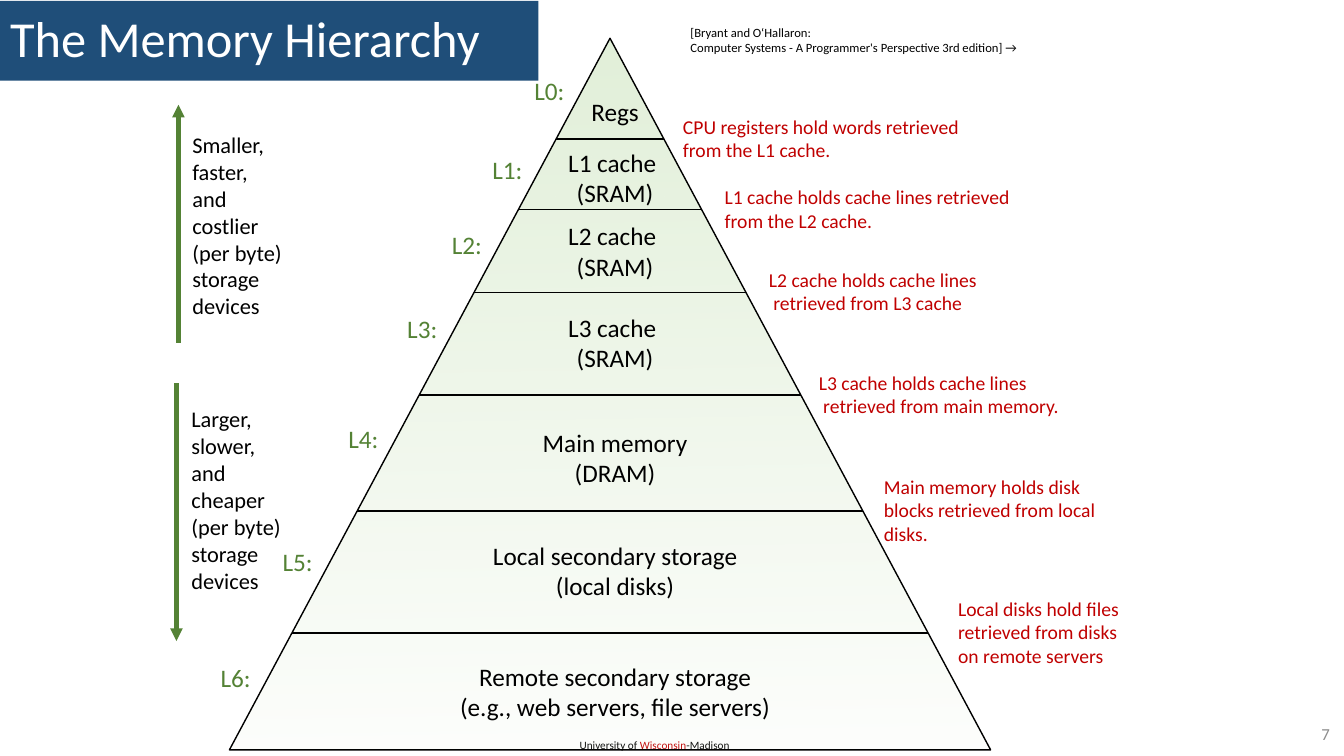
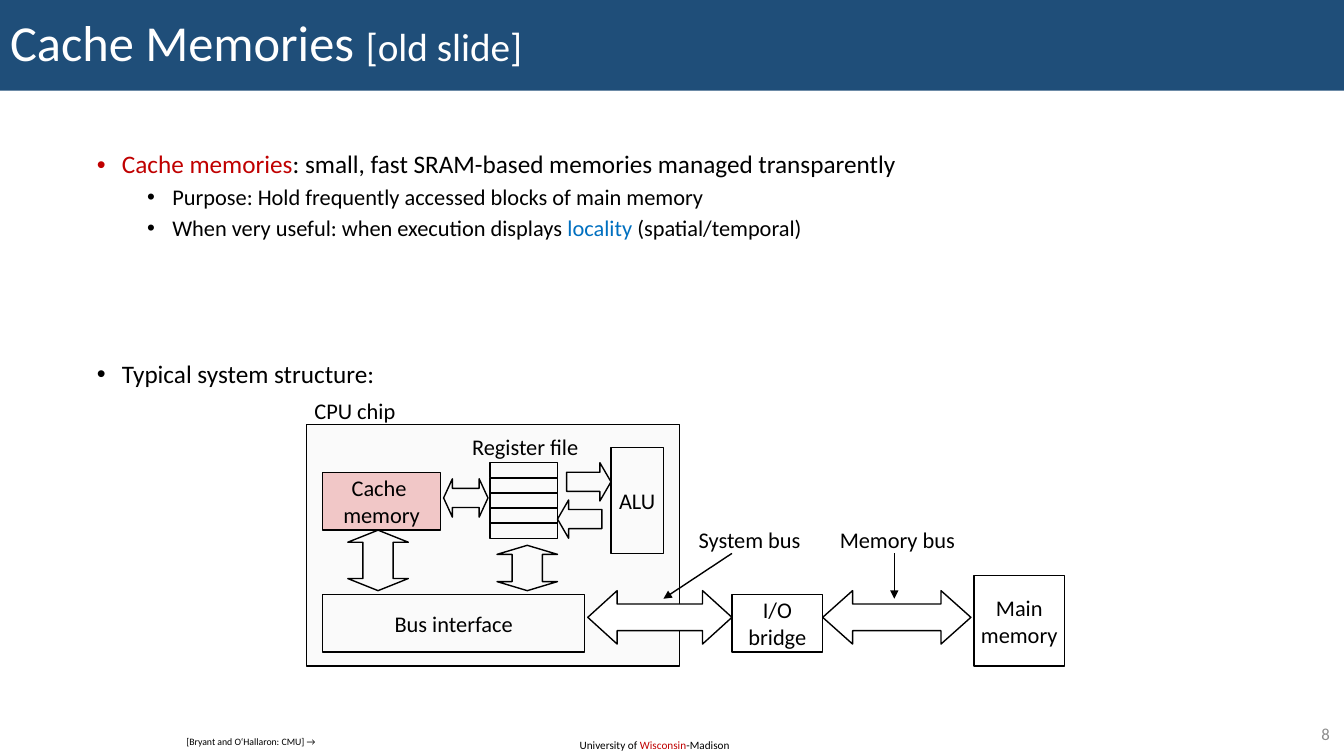
from pptx import Presentation
from pptx.dml.color import RGBColor
from pptx.enum.shapes import MSO_CONNECTOR, MSO_SHAPE as SH
from pptx.enum.text import MSO_ANCHOR as ANC, MSO_AUTO_SIZE as FIT, PP_ALIGN as AL
from pptx.oxml.ns import qn
from pptx.util import Inches, Pt
from lxml.etree import SubElement

# Shared style
W, H = 13.33, 7.5
FONT = "Calibri"
BLACK, WHITE = RGBColor(0, 0, 0), RGBColor(255, 255, 255)
NAVY, RED = RGBColor(0x1F, 0x4E, 0x79), RGBColor(0xC0, 0, 0)
GREEN, PALE_GREEN = RGBColor(0x54, 0x82, 0x35), RGBColor(0xE2, 0xF0, 0xD9)
BLUE, GRAY = RGBColor(0, 0x70, 0xC0), RGBColor(0x8C, 0x8C, 0x8C)
CHIP, PINK = RGBColor(0xFA, 0xFA, 0xFA), RGBColor(0xF1, 0xC7, 0xC7)
FOOTER = [("University of ", {}), ("Wisconsin", {"color": RED}), ("-Madison", {})]

# Slide 1 content: level lines, middle of the text, middle of the label
LEVELS = [
    (["Regs"], 1.11, 0.9),
    (["L1 cache ", "(SRAM)"], 1.76, 1.68),
    (["L2 cache ", "(SRAM)"], 2.49, 2.43),
    (["L3 cache ", "(SRAM)"], 3.4, 3.26),
    (["Main memory", "(DRAM)"], 4.54, 4.35),
    (["Local secondary storage", "(local disks)"], 5.66, 5.57),
    (["Remote secondary storage", "(e.g., web servers, file servers)"], 6.86, 6.72),
]
# Divider height, note beside it, gap from the edge, note width
DIVIDERS = [
    (1.38, ["CPU registers hold words retrieved from the L1 cache."], 0.09, 3.19),
    (2.08, ["L1 cache holds cache lines retrieved from the L2 cache."], 0.13, 3.1),
    (2.9, ["L2 cache holds cache lines", " retrieved from L3 cache"], 0.13, 2.88),
    (3.92, ["L3 cache holds cache lines", " retrieved from main memory."], 0.08, 3.15),
    (5.07, ["Main memory holds disk blocks retrieved from local disks."], 0.11, 2.39),
    (6.28, ["Local disks hold files retrieved from disks", "on remote servers"], 0.2, 2.26),
]
# Words, left, middle, arrow from, arrow to
TRENDS = [
    ("Smaller, faster, and costlier (per~byte) storage devices", 1.81, 2.24, (1.77, 3.4), (1.77, 1.04)),
    ("Larger, slower, and cheaper (per~byte) storage devices", 1.8, 4.96, (1.75, 3.8), (1.75, 6.36)),
]
SOURCE = ["[Bryant and O‘Hallaron:",
          "Computer Systems - A Programmer's Perspective 3rd edition] →"]
APEX_X, APEX_Y, BASE_W, PYRAMID_H = 6.05, 0.38, 7.55, 7.06

# Slide 2 content: level, space before, runs
BULLETS = [
    (0, 10, [("Cache memories", {"color": RED}),
             (": small, fast SRAM-based memories managed transparently", {})]),
    (1, 5, ["Purpose: Hold frequently accessed blocks of main memory"]),
    (1, 5, ["When very useful: when execution displays ",
            ("locality", {"color": BLUE}), " (spatial/temporal)"]),
    (0, 86, ["Typical system structure:"]),
]
BOXES = [
    ((3.04, 4.21, 3.7, 2.4), CHIP, []),
    ((9.66, 5.71, 0.9, 0.9), None, ["Main", "memory"]),
    ((7.26, 5.9, 0.9, 0.57), None, ["I/O", "bridge"]),
    ((3.2, 5.9, 2.6, 0.57), None, ["Bus interface"]),
    ((6.06, 4.44, 0.52, 1.05), None, ["ALU"]),
    ((3.2, 4.69, 1.17, 0.57), PINK, ["Cache ", "memory"]),
]
REGISTERS = [((4.86, 4.59 + 0.15 * i, 0.67, 0.15), None, []) for i in range(5)]
# Kind, place, head length as a share of the short side, fill
BLOCK_ARROWS = [
    (SH.LEFT_RIGHT_ARROW, (8.16, 5.86, 1.47, 0.53), 0.56, None),
    (SH.LEFT_RIGHT_ARROW, (5.83, 5.86, 1.43, 0.53), 0.55, WHITE),
    (SH.LEFT_RIGHT_ARROW, (4.4, 4.75, 0.44, 0.38), 0.23, None),
    (SH.RIGHT_ARROW, (5.62, 4.59, 0.44, 0.38), 0.29, None),
    (SH.LEFT_ARROW, (5.53, 4.96, 0.44, 0.38), 0.29, None),
    (SH.UP_DOWN_ARROW, (4.93, 5.41, 0.6, 0.45), 0.2, None),
    (SH.UP_DOWN_ARROW, (3.45, 5.26, 0.6, 0.6), 0.2, None),
]
CAPTIONS = [
    ("Register file", (4.56, 4.25, 1.3, 0.37)), ("CPU chip", (3.01, 3.89, 1.02, 0.37)),
    ("System bus", (6.81, 5.17, 1.25, 0.37)), ("Memory bus", (8.21, 5.17, 1.38, 0.37)),
]
POINTERS = [((7.26, 5.49), (6.58, 5.94)), ((8.87, 5.49), (8.87, 5.94))]


# Helpers
def inches(values):
    return [Inches(v) for v in values]


def add_runs(p, runs, **base):
    for item in runs:
        text, extra = (item, {}) if isinstance(item, str) else item
        look = {"size": 18, "color": BLACK, **base, **extra}
        r = p.add_run()
        r.text = text
        r.font.name, r.font.size = FONT, Pt(look["size"])
        r.font.color.rgb = look["color"]


def fill_text(tf, paragraphs, align=AL.LEFT, **look):
    for i, runs in enumerate(paragraphs):
        p = tf.add_paragraph() if i else tf.paragraphs[0]
        p.alignment = align
        add_runs(p, [runs] if isinstance(runs, str) else runs, **look)


def add_text(shapes, at, paragraphs, wrap=True, anchor=ANC.MIDDLE, fit=FIT.SHAPE_TO_FIT_TEXT, **look):
    box = shapes.add_textbox(*inches(at))
    for name, value in {"word_wrap": wrap, "vertical_anchor": anchor, "auto_size": fit}.items():
        setattr(box.text_frame, name, value)
    fill_text(box.text_frame, paragraphs, **look)
    return box


def add_block(shapes, kind, at, fill=None):
    sp = shapes.add_shape(kind, *inches(at))
    sp.shadow.inherit = False
    if fill is None:
        sp.fill.background()
    else:
        sp.fill.solid()
        sp.fill.fore_color.rgb = fill
    sp.line.color.rgb, sp.line.width = BLACK, Pt(1)
    return sp


def add_block_arrow(shapes, kind, at, head, fill):
    arrow = add_block(shapes, kind, at, fill)
    # Guides by name: adj1 is the shaft, adj2 the head
    guides = arrow.element.spPr.find(qn("a:prstGeom")).find(qn("a:avLst"))
    for guide in list(guides):
        guides.remove(guide)
    for name, share in {"adj1": 0.5, "adj2": head}.items():
        SubElement(guides, qn("a:gd"), name=name, fmla=f"val {round(share * 100000)}")


def add_line(shapes, start, end, color=BLACK, width=1, arrow=False):
    line = shapes.add_connector(MSO_CONNECTOR.STRAIGHT, *inches((*start, *end)))
    line.line.color.rgb, line.line.width = color, Pt(width)
    spPr = line.element.spPr
    if arrow:
        SubElement(spPr.find(qn("a:ln")), qn("a:tailEnd"), type="triangle")
    SubElement(spPr, qn("a:effectLst"))


def place(ph, at, anchor):
    ph.left, ph.top, ph.width, ph.height = inches(at)
    for name, value in {"word_wrap": True, "vertical_anchor": anchor, "auto_size": FIT.NONE}.items():
        setattr(ph.text_frame, name, value)


def new_slide(prs, layout, title, band, number):
    s = prs.slides.add_slide(prs.slide_layouts[layout])
    place(s.shapes.title, band, ANC.MIDDLE)
    s.shapes.title.fill.solid()
    s.shapes.title.fill.fore_color.rgb = NAVY
    fill_text(s.shapes.title.text_frame, [title], size=36, color=WHITE)
    s.shapes.title.text_frame.paragraphs[0].line_spacing = 0.9
    add_text(s.shapes, (12.53, 7.13, 0.76, 0.29), [str(number)], fit=FIT.NONE,
             align=AL.RIGHT, size=12, color=GRAY)
    return s


def add_source(s, at, lines, size):
    box = add_text(s.shapes, at, lines, anchor=ANC.TOP, size=size)
    box.fill.solid()
    box.fill.fore_color.rgb = WHITE


def half_width(y):
    return (y - APEX_Y) * BASE_W / 2 / PYRAMID_H


def memory_hierarchy(prs):
    s = new_slide(prs, 5, "The Memory Hierarchy", (0, 0.01, 5.34, 0.79), 7)
    # Footer goes to the master, so every slide shows it
    footer = add_text(s.shapes, (5.65, 7.28, 1.72, 0.24), [FOOTER], anchor=ANC.TOP, size=8)
    prs.slide_master.shapes.element.append(footer.element)

    # Pyramid fading out towards its base
    pyramid = add_block(s.shapes, SH.ISOSCELES_TRIANGLE,
                        (APEX_X - BASE_W / 2, APEX_Y, BASE_W, PYRAMID_H))
    pyramid.fill.gradient()
    pyramid.fill.gradient_angle = 91
    for stop in pyramid.fill.gradient_stops:
        stop.color.rgb = PALE_GREEN
    base_color = next(pyramid.element.spPr.iter(qn("a:srgbClr")))
    SubElement(base_color, qn("a:alpha"), val="7000")

    # Levels, dividers and notes along the edges
    for i, (lines, text_y, label_y) in enumerate(LEVELS):
        h = 0.1 + 0.3 * len(lines)
        add_text(s.shapes, (4.44, text_y - h / 2, 3.32, h), lines, wrap=False, align=AL.CENTER)
        left = APEX_X - half_width(label_y) - 0.57
        add_text(s.shapes, (left, label_y - 0.2, 0.51, 0.4), [f"L{i}:"], wrap=False, color=GREEN)
    for y, note, gap, width in DIVIDERS:
        half = half_width(y)
        add_line(s.shapes, (APEX_X - half, y), (APEX_X + half, y))
        h = 0.81 if y > 5 else 0.57
        add_text(s.shapes, (APEX_X + half + gap, y - 0.01 - h / 2, width, h), note,
                 size=14, color=RED)

    # Trends on the left
    for words, left, middle, start, end in TRENDS:
        lines = [word.replace("~", " ") for word in words.split()]
        add_text(s.shapes, (left, middle - 1, 1.1, 1.99), lines, wrap=False, size=16)
        add_line(s.shapes, start, end, GREEN, 3, arrow=True)
    add_source(s, (6.75, 0.2, 3.48, 0.4), SOURCE, 9)


def cache_memories(prs):
    title = ["Cache Memories ", ("[old slide]", {"size": 28})]
    s = new_slide(prs, 1, title, (0, 0, W, 0.9), 8)

    # Bullets
    body = s.placeholders[1]
    place(body, (0.86, 1.46, 9.58, 5.2), ANC.TOP)
    for i, (level, before, runs) in enumerate(BULLETS):
        p = body.text_frame.add_paragraph() if i else body.text_frame.paragraphs[0]
        for name, value in {"level": level, "space_before": Pt(before), "line_spacing": 0.9}.items():
            setattr(p, name, value)
        add_runs(p, runs, size=18 - 2 * level)
        pPr = p._p.get_or_add_pPr()
        pPr.set("marL", str(Inches(0.25 + 0.5 * level)))
        pPr.set("indent", str(Inches(-0.25)))
        SubElement(pPr, qn("a:buFont"), typeface="Arial")
        SubElement(pPr, qn("a:buChar"), char="•")

    # System structure
    diagram = s.shapes.add_group_shape().shapes
    for at, fill, lines in BOXES + REGISTERS:
        box = add_block(diagram, SH.RECTANGLE, at, fill)
        if lines:
            box.text_frame.word_wrap = False
            box.text_frame.vertical_anchor = ANC.MIDDLE
            fill_text(box.text_frame, lines, AL.CENTER, size=16)
    for block_arrow in BLOCK_ARROWS:
        add_block_arrow(diagram, *block_arrow)
    for caption, at in CAPTIONS:
        add_text(diagram, at, [caption], wrap=False, align=AL.CENTER, size=16)
    for start, end in POINTERS:
        add_line(diagram, start, end, arrow=True)
    add_source(s, (1.75, 7.25, 1.5, 0.22), ["[Bryant and O‘Hallaron: CMU] →"], 7)


def main():
    prs = Presentation()
    prs.slide_width, prs.slide_height = inches((W, H))
    memory_hierarchy(prs)
    cache_memories(prs)
    prs.save("out.pptx")


if __name__ == "__main__":
    main()
